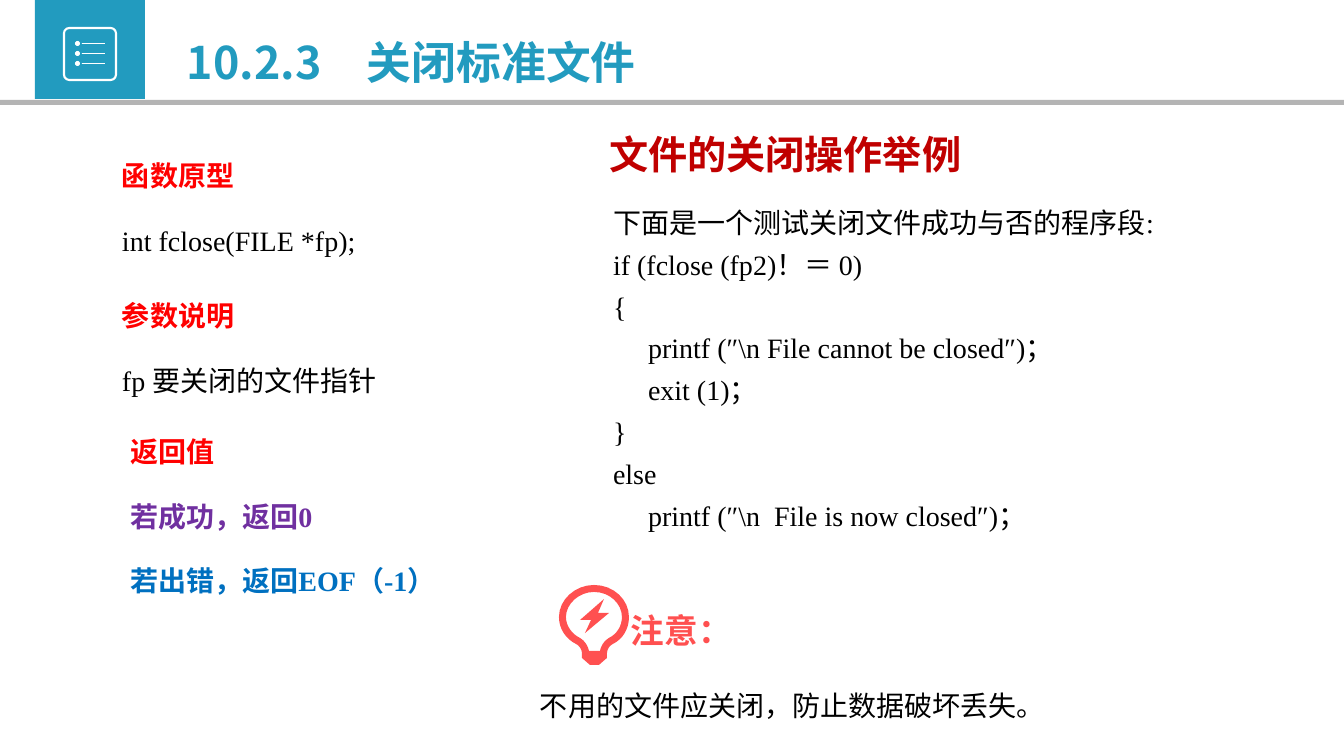
import pptx
import pptx.util
import pptx.dml.color
import pptx.enum.shapes
import pptx.enum.text
import pptx.oxml.ns
import lxml.etree

RGB = pptx.dml.color.RGBColor
SHAPE = pptx.enum.shapes.MSO_SHAPE
ALIGN = pptx.enum.text.PP_ALIGN
ANCHOR = pptx.enum.text.MSO_ANCHOR
qn = pptx.oxml.ns.qn
Pt = pptx.util.Pt

PX = 914400 / 100.8
TEAL = RGB(0x22, 0x9B, 0xBF)
GRAY = RGB(0xB4, 0xB4, 0xB4)
WHITE = RGB(0xFF, 0xFF, 0xFF)
BLACK = RGB(0, 0, 0)
RED = RGB(0xFF, 0, 0)
DARK_RED = RGB(0xC0, 0, 0)
CORAL = RGB(0xFF, 0x50, 0x50)
PURPLE = RGB(0x70, 0x30, 0xA0)
BLUE = RGB(0, 0x70, 0xC0)
SANS = "Noto Sans CJK SC"
SERIF = "Times New Roman"

prs = pptx.Presentation()
prs.slide_width = round(1344 * PX)
prs.slide_height = round(756 * PX)
s = prs.slides.add_slide(prs.slide_layouts[6])


def add_box(kind, box, fill):
    sp = s.shapes.add_shape(kind, *[round(v * PX) for v in box])
    sp.shadow.inherit = False
    if fill is None:
        sp.fill.background()
    else:
        sp.fill.solid()
        sp.fill.fore_color.rgb = fill
        sp.line.fill.background()
    return sp


def add_text(box, paragraphs, font, size, inset=(10, 5), anchor=ANCHOR.TOP, before=None, layout={}):
    tf = s.shapes.add_textbox(*[round(v * PX) for v in box]).text_frame
    x, y = [round(v * PX) for v in inset]
    frame = {"word_wrap": True, "vertical_anchor": anchor, "margin_left": x,
             "margin_right": x, "margin_top": y, "margin_bottom": y}
    for name, value in frame.items():
        setattr(tf, name, value)
    for i, (text, color, bold, indent) in enumerate(paragraphs):
        p = tf.paragraphs[0] if i == 0 else tf.add_paragraph()
        for name, value in layout.items():
            setattr(p, name, value)
        pPr = p._p.get_or_add_pPr()
        if indent:
            pPr.set("marL", str(round(indent * PX)))
        if before:
            spacing = lxml.etree.SubElement(pPr, qn("a:spcBef"))
            lxml.etree.SubElement(spacing, qn("a:spcPct")).set("val", str(before * 1000))
        r = p.add_run()
        r.text = text
        for name, value in {"name": font, "size": Pt(size), "bold": bold}.items():
            setattr(r.font, name, value)
        r.font.color.rgb = color
        lxml.etree.SubElement(r._r.get_or_add_rPr(), qn("a:ea")).set("typeface", SANS)


add_box(SHAPE.RECTANGLE, (35, 0, 110, 99), TEAL)
frame = add_box(SHAPE.ROUNDED_RECTANGLE, (64, 28, 52, 52), None)
frame.adjustments[0] = 0.1
frame.line.color.rgb = WHITE
frame.line.width = Pt(1.5)
for row in range(3):
    add_box(SHAPE.OVAL, (75, 41 + 10 * row, 5, 5), WHITE)
    add_box(SHAPE.RECTANGLE, (82, 43 + 10 * row, 23, 1), WHITE)
add_box(SHAPE.RECTANGLE, (0, 100, 1344, 5), GRAY)
add_text((177, 30, 520, 64), [("10.2.3　关闭标准文件", TEAL, True, 0)], SANS, 32)

spaced = {"line_spacing": 1.5, "alignment": ALIGN.JUSTIFY}
sections = [
    ((112, 137, 386, 129), [("函数原型", RED, True, 0), ("int fclose(FILE *fp);", BLACK, False, 0)]),
    ((112, 277, 450, 129), [("参数说明", RED, True, 0), ("fp 要关闭的文件指针", BLACK, False, 0)]),
    ((120, 413, 757, 197), [("返回值", RED, True, 0), ("若成功，返回0", PURPLE, True, 0),
                            ("若出错，返回EOF（-1）", BLUE, True, 0)]),
]
for box, paragraphs in sections:
    add_text(box, paragraphs, SERIF, 20, before=50, layout=spaced)

add_text((530, 667, 592, 61), [("不用的文件应关闭，防止数据破坏丢失。", BLACK, False, 0)],
         SANS, 20, before=50, layout=spaced)
add_text((621, 605, 130, 50), [("注意：", CORAL, True, 0)], SANS, 24)

bulb_outer = [
    (607, 654), (607, 650), (609, 646), (613, 644), (623, 639), (629, 629), (629, 617),
    (629, 600), (614, 585), (594, 585), (575, 585), (559, 600), (559, 617),
    (559, 629), (566, 639), (576, 644), (580, 646), (582, 650), (582, 654)]
bulb_base = [(582, 658), (590, 665), (599, 665), (607, 658)]
bulb_inner = [
    (589, 651), (588, 646), (585, 641), (580, 638), (572, 634), (566, 626), (566, 617),
    (566, 604), (579, 592), (594, 592), (610, 592), (622, 604), (622, 617),
    (622, 626), (617, 634), (609, 638), (604, 641), (601, 646), (600, 651)]
bolt = [(598, 613), (604, 599), (580, 620), (591, 620), (585, 633), (609, 613)]

contours = []
for knots in (bulb_outer, bulb_inner):
    curve = [knots[0]]
    for i in range(0, len(knots) - 1, 3):
        a, b, c, d = knots[i:i + 4]
        for step in range(1, 9):
            t = step / 8
            u = 1 - t
            curve.append(tuple(u**3 * a[k] + 3 * u * u * t * b[k] + 3 * u * t * t * c[k] + t**3 * d[k]
                               for k in (0, 1)))
    contours.append(curve)
contours[0] += bulb_base

for outline in (contours, [bolt]):
    builder = None
    for points in outline:
        pts = [(round(x * PX), round(y * PX)) for x, y in points]
        if builder is None:
            builder = s.shapes.build_freeform(*pts[0], scale=1.0)
        else:
            builder.move_to(*pts[0])
        builder.add_line_segments(pts[1:], close=True)
    sp = builder.convert_to_shape()
    sp.shadow.inherit = False
    sp.fill.solid()
    sp.fill.fore_color.rgb = CORAL
    sp.line.fill.background()

add_text((609, 130, 400, 47), [("文件的关闭操作举例", DARK_RED, True, 0)], SERIF, 28,
         inset=(0, 0), anchor=ANCHOR.MIDDLE)
code = [("下面是一个测试关闭文件成功与否的程序段:", 0), ("if (fclose (fp2)！＝ 0)", 0), ("{", 0),
        ("printf (″\\n File cannot be closed″)；", 35), ("exit (1)；", 35), ("}", 0),
        ("else", 0), ("printf (″\\n  File is now closed″)；", 35)]
add_text((609, 198, 598, 348), [(text, BLACK, False, indent) for text, indent in code], SERIF, 20,
         inset=(4, 4), layout={"line_spacing": 1.1, "space_before": Pt(3.5)})

prs.save("out.pptx")
